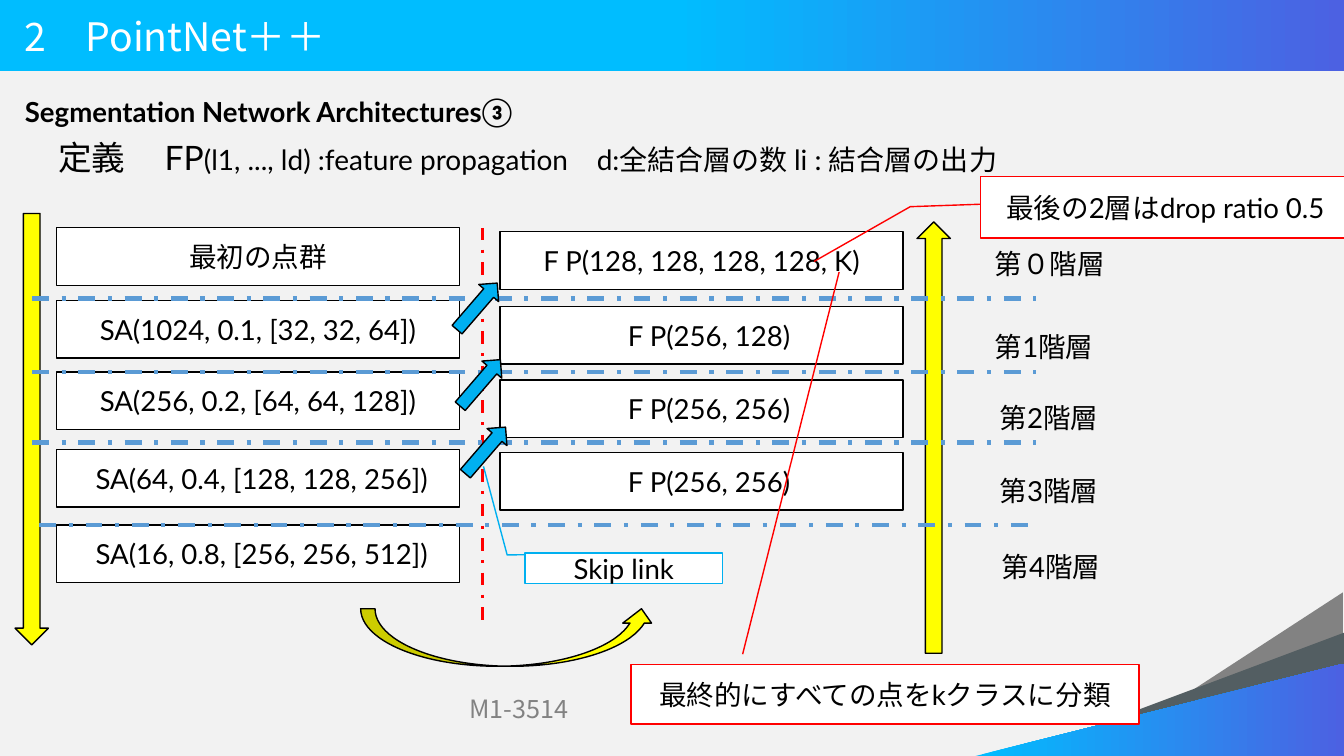
from lxml.etree import SubElement
from pptx import Presentation
from pptx.dml.color import RGBColor
from pptx.enum.dml import MSO_LINE
from pptx.enum.shapes import MSO_CONNECTOR, MSO_SHAPE
from pptx.enum.text import MSO_ANCHOR, PP_ALIGN
from pptx.oxml.ns import qn
from pptx.util import Cm, Pt

WHITE = RGBColor(0xFF, 0xFF, 0xFF)
BLACK = RGBColor(0x00, 0x00, 0x00)
BACKGROUND = RGBColor(0xF2, 0xF2, 0xF2)
GRAY = RGBColor(0x82, 0x82, 0x82)
SLATE = RGBColor(0x53, 0x5E, 0x62)
CYAN = RGBColor(0x00, 0xBD, 0xFF)
VIOLET = RGBColor(0x4C, 0x61, 0xE2)
RED = RGBColor(0xFF, 0x00, 0x00)
YELLOW = RGBColor(0xFF, 0xFF, 0x00)
SKY = RGBColor(0x00, 0xB0, 0xF0)
STEEL = RGBColor(0x5B, 0x9B, 0xD5)
LATIN_FONT = "Lato"
JAPANESE_FONT = "Noto Sans CJK JP"

BOX_SIZE = (10.16, 1.45)
ENCODER_LEFT = 1.42
DECODER_LEFT = 12.6
ENCODER = [
    ("最初の点群", 5.74, 0.25),
    ("SA(1024, 0.1, [32, 32, 64])", 7.57, 0.25),
    ("SA(256, 0.2, [64, 64, 128])", 9.37, 0.25),
    ("SA(64, 0.4, [128, 128, 256])", 11.33, 0.44),
    ("SA(16, 0.8, [256, 256, 512])", 13.23, 0.44),
]
DECODER = [
    ("F P(128, 128, 128, 128, K)", 5.84, 0.25),
    ("F P(256, 128)", 7.72, 0.63),
    ("F P(256, 256)", 9.58, 0.63),
    ("F P(256, 256)", 11.4, 0.63),
]
LEVELS = [
    ("第０階層", 24.82, 6.1),
    ("第1階層", 24.82, 8.18),
    ("第2階層", 24.94, 9.98),
    ("第3階層", 24.94, 11.81),
    ("第4階層", 24.99, 13.74),
]
LEVEL_BORDERS = [(0.81, 7.52), (0.81, 9.37), (0.81, 11.15), (0.99, 13.23)]
SKIP_ARROWS = [(11.25, 7.39), (11.33, 9.32), (11.46, 11.02)]


def write_text(paragraph, text, size=19.7, color=BLACK, bold=False, font=LATIN_FONT):
    run = paragraph.add_run()
    run.text = text
    run.font.size = Pt(size)
    run.font.bold = bold
    run.font.color.rgb = color
    run.font.name = font
    east_asian = SubElement(run._r.get_or_add_rPr(), qn("a:ea"))
    east_asian.set("typeface", JAPANESE_FONT)


def add_label(slide, box, text, anchor=MSO_ANCHOR.TOP, **text_format):
    label = slide.shapes.add_textbox(*map(Cm, box))
    label.text_frame.word_wrap = True
    label.text_frame.vertical_anchor = anchor
    paragraph = label.text_frame.paragraphs[0]
    write_text(paragraph, text, **text_format)
    return paragraph


def add_figure(slide, kind, box, fill=None, line=None, rotation=0):
    shape = slide.shapes.add_shape(kind, *map(Cm, box))
    shape.shadow.inherit = False
    shape.rotation = rotation
    if fill is not None:
        shape.fill.solid()
        shape.fill.fore_color.rgb = fill
    if line is None:
        shape.line.fill.background()
    else:
        shape.line.color.rgb = line
        shape.line.width = Pt(1)
    return shape


def add_box(slide, kind, box, text, line=BLACK, indent=0.25, adjustments=()):
    shape = add_figure(slide, kind, box, WHITE, line)
    for index, value in enumerate(adjustments):
        shape.adjustments[index] = value
    frame = shape.text_frame
    frame.word_wrap = True
    frame.margin_left = Cm(indent)
    frame.vertical_anchor = MSO_ANCHOR.MIDDLE
    frame.paragraphs[0].alignment = PP_ALIGN.CENTER
    write_text(frame.paragraphs[0], text)


def add_dashed_line(slide, ends, color, width):
    line = slide.shapes.add_connector(MSO_CONNECTOR.STRAIGHT, *map(Cm, ends))
    line.line.color.rgb = color
    line.line.width = Pt(width)
    line.line.dash_style = MSO_LINE.DASH_DOT
    SubElement(line._element.spPr, qn("a:effectLst"))


def fill_gradient(shape, start, angle):
    shape.fill.gradient()
    shape.fill.gradient_angle = angle
    stops = shape.fill.gradient_stops
    for stop, position, color in zip(stops, (start, 1), (CYAN, VIOLET)):
        stop.position = position
        stop.color.rgb = color


def add_tab_stops(paragraph, positions):
    tab_list = SubElement(paragraph._p.get_or_add_pPr(), qn("a:tabLst"))
    for position in positions:
        tab = SubElement(tab_list, qn("a:tab"))
        tab.set("pos", str(Cm(position)))
        tab.set("algn", "l")


def add_frame(slide):
    slide.background.fill.solid()
    slide.background.fill.fore_color.rgb = BACKGROUND
    banner = add_figure(slide, MSO_SHAPE.RECTANGLE, (0, 0, 33.87, 1.8))
    fill_gradient(banner, 0.5, 0)
    triangle = MSO_SHAPE.RIGHT_TRIANGLE
    add_figure(slide, triangle, (28.63, 13.82, 4.11, 6.32), GRAY, rotation=270)
    add_figure(slide, triangle, (28.14, 13.34, 3.12, 8.33), SLATE, rotation=270)
    corner = add_figure(slide, triangle, (28.04, 13.23, 2.34, 9.32), rotation=270)
    fill_gradient(corner, 0, 270)


def add_headings(slide):
    add_label(slide, (0.38, 0, 27.15, 1.8), "2　PointNet＋＋", MSO_ANCHOR.MIDDLE,
              size=28, color=WHITE, font=JAPANESE_FONT)
    add_label(slide, (11.58, 17.35, 10.72, 1.32), "M1-3514",
              size=18, color=GRAY, font=JAPANESE_FONT)
    add_label(slide, (0.38, 2.26, 24.41, 1.09),
              "Segmentation Network Architectures③", bold=True)
    definition = add_label(slide, (1.22, 3.33, 31.67, 3.18), "定義\tFP", size=24)
    write_text(definition, "(l1, ..., ld) :feature propagation\td:全結合層の数 li : 結合層の出力",
               size=20)
    add_tab_stops(definition, (2.68, 13.57))


def add_network(slide):
    for left, layers in ((ENCODER_LEFT, ENCODER), (DECODER_LEFT, DECODER)):
        for text, top, indent in layers:
            add_box(slide, MSO_SHAPE.RECTANGLE, (left, top, *BOX_SIZE), text, indent=indent)
    add_dashed_line(slide, (12.17, 5.74, 12.17, 15.65), RED, 2.25)
    for left, top, rotation in ((0.38, 5.38, 0), (23.11, 5.59, 180)):
        add_figure(slide, MSO_SHAPE.DOWN_ARROW, (left, top, 0.84, 10.87),
                   YELLOW, BLACK, rotation)
    add_figure(slide, MSO_SHAPE.CURVED_UP_ARROW, (9.09, 15.34, 7.44, 1.45), YELLOW, BLACK)
    for left, top in LEVEL_BORDERS:
        add_dashed_line(slide, (left, top, 26.11, top), STEEL, 3)
    for text, left, top in LEVELS:
        add_label(slide, (left, top, 5.05, 1.09), text)
    for left, top in SKIP_ARROWS:
        add_figure(slide, MSO_SHAPE.RIGHT_ARROW, (left, top, 1.55, 0.66), SKY, BLACK, 310.8)


def add_callouts(slide):
    add_box(slide, MSO_SHAPE.LINE_CALLOUT_2, (13.23, 13.94, 4.98, 0.76), "Skip link", SKY,
            adjustments=(0.05, 0, 0.06, -0.09, -2.88, -0.21))
    add_box(slide, MSO_SHAPE.LINE_CALLOUT_2, (24.71, 4.45, 9.32, 1.55),
            "最後の2層はdrop ratio 0.5", RED,
            adjustments=(0.45, 0, 0.49, -0.19, 1.38, -0.45))
    add_box(slide, MSO_SHAPE.LINE_CALLOUT_1, (15.9, 16.74, 12.8, 1.5),
            "最終的にすべての点をkクラスに分類", RED,
            adjustments=(-0.17, 0.22, -6.59, 0.41))


def main():
    presentation = Presentation()
    presentation.slide_width = Cm(33.87)
    presentation.slide_height = Cm(19.05)
    slide = presentation.slides.add_slide(presentation.slide_layouts[6])
    add_frame(slide)
    add_headings(slide)
    add_network(slide)
    add_callouts(slide)
    presentation.save("out.pptx")


if __name__ == "__main__":
    main()
